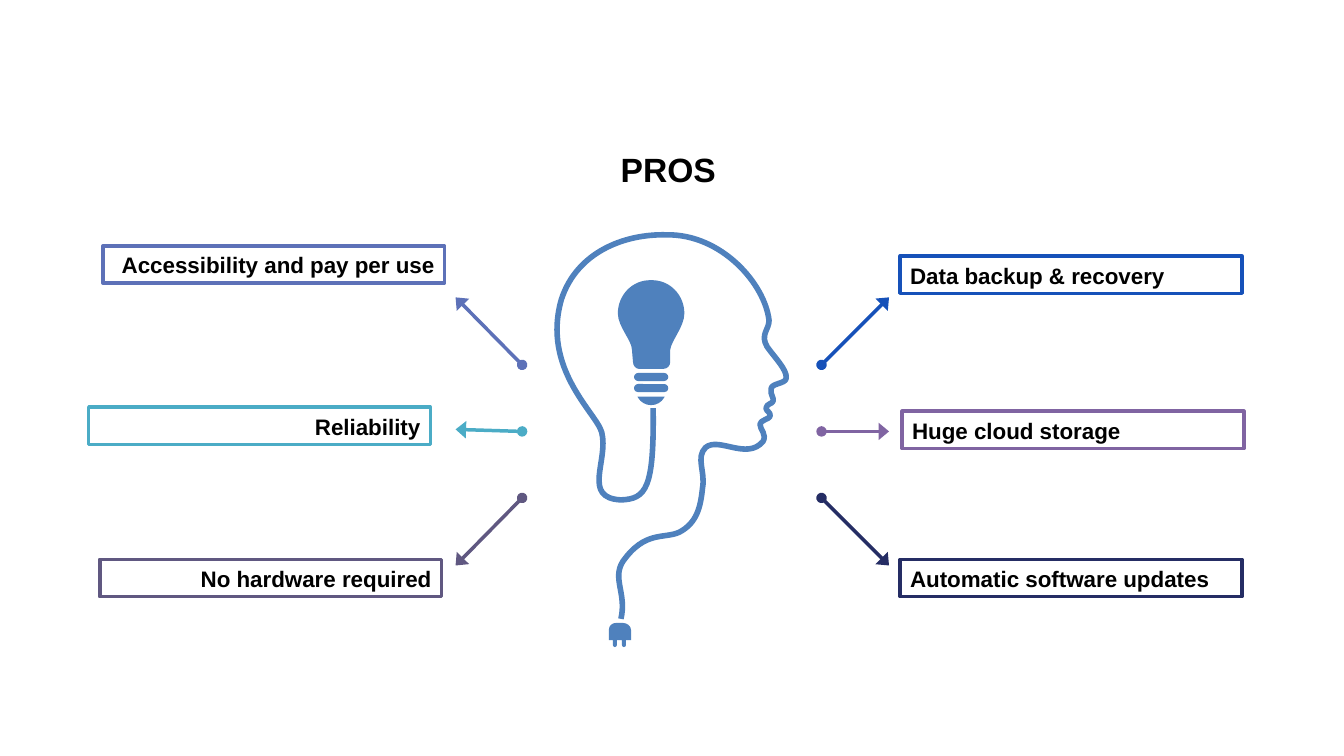
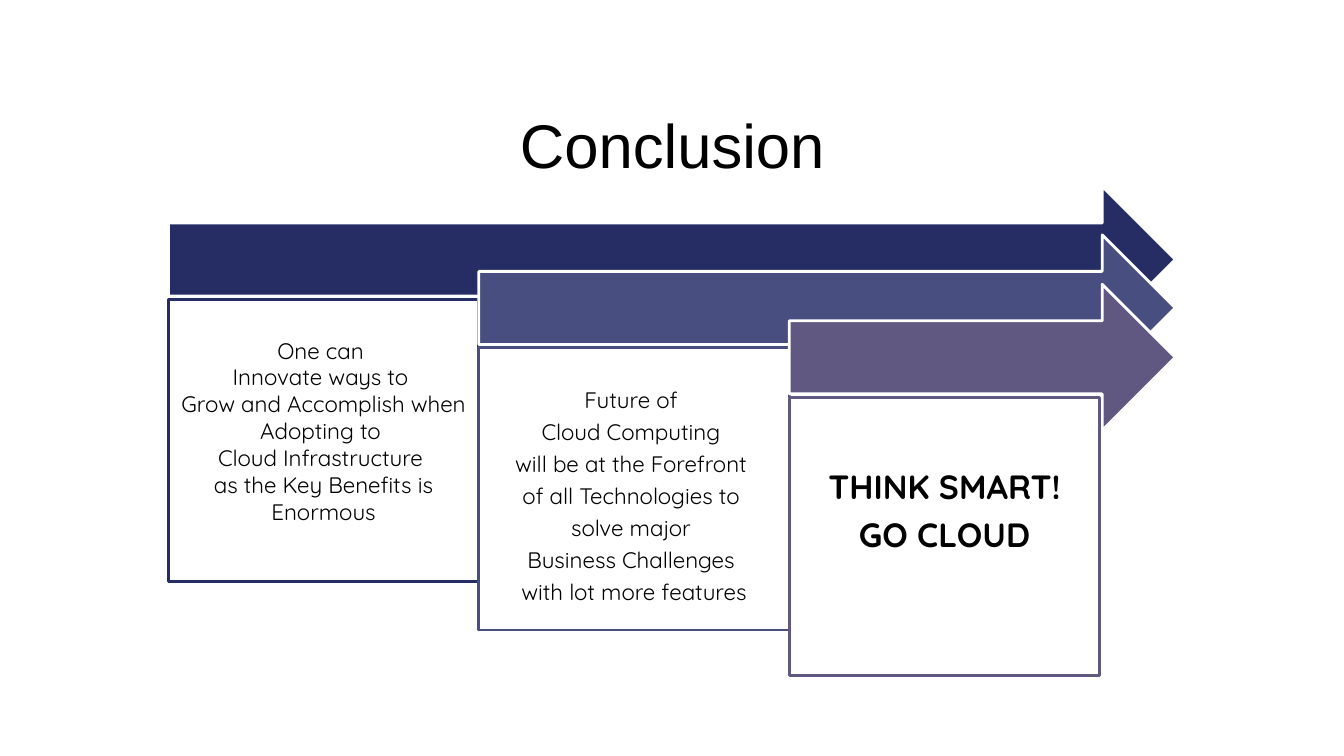
"""Build two slides: the pros of cloud computing and the conclusion."""
from dataclasses import dataclass

from lxml.etree import SubElement
from pptx import Presentation
from pptx.dml.color import RGBColor
from pptx.enum.shapes import MSO_CONNECTOR, MSO_SHAPE
from pptx.enum.text import MSO_ANCHOR, MSO_AUTO_SIZE, PP_ALIGN
from pptx.oxml.ns import qn
from pptx.util import Emu, Inches, Pt

COLUMNS, ROWS = 40 / 3, 7.5
CELL = Inches(1)
TITLE_ONLY = 5
HEADING_FONT, CARD_FONT = "Arial", "Quicksand"
BLACK, WHITE = "000000", "FFFFFF"
NAVY, INDIGO, PLUM = "252D64", "484E7F", "605881"
ICON_BLUE = "4F81BD"

LABEL_WIDTH, LABEL_HEIGHT = 3.39, 0.37
LEFT_ARROW, RIGHT_ARROW = (5.18, 4.52), (8.15, 8.82)

CARD_LEFT, CARD_WIDTH, CARD_DROP = 1.67, 3.08, 1.12
ARROW_RIGHT, ARROW_HEIGHT = 11.66, 1.45
CARD_INSET = 0.07


@dataclass(frozen=True)
class Box:
    left: float
    top: float
    width: float
    height: float


@dataclass(frozen=True)
class Outline:
    box: Box
    start: tuple[float, float]
    segments: tuple[tuple[float, ...], ...]
    closed: bool = True


@dataclass(frozen=True)
class TextStyle:
    size: float
    font: str = HEADING_FONT
    bold: bool = False
    align: PP_ALIGN = PP_ALIGN.CENTER
    spacing: float = 1.0
    after: float = 0


@dataclass(frozen=True)
class Pro:
    text: str
    color: str
    left: float
    top: float
    arrow_x: tuple[float, float]
    arrow_y: tuple[float, float]
    spacing: float = 1.07


@dataclass(frozen=True)
class Card:
    lines: tuple[str, ...]
    color: str
    top: float
    height: float
    text_top: float
    style: TextStyle


HEAD = Outline(Box(5.53, 2.33, 2.28, 3.8), (6.48, 4.05), (
    (6.49, 4.85, 6.41, 4.95, 6.16, 4.96),
    (5.77, 4.94, 6.04, 4.57, 5.97, 4.29),
    (5.92, 4.1, 5.37, 3.66, 5.57, 2.97),
    (5.72, 2.51, 6.18, 2.32, 6.61, 2.33),
    (7.16, 2.32, 7.59, 2.82, 7.63, 3.18),
    (7.63, 3.27, 7.54, 3.32, 7.61, 3.44),
    (7.68, 3.54, 7.81, 3.67, 7.8, 3.75),
    (7.8, 3.81, 7.65, 3.8, 7.65, 3.86),
    (7.64, 3.92, 7.68, 3.94, 7.67, 3.98),
    (7.66, 4.01, 7.61, 4, 7.6, 4.05),
    (7.6, 4.08, 7.65, 4.09, 7.64, 4.13),
    (7.63, 4.16, 7.54, 4.17, 7.54, 4.21),
    (7.54, 4.26, 7.61, 4.31, 7.57, 4.38),
    (7.41, 4.57, 7.13, 4.33, 7, 4.44),
    (6.9, 4.54, 7, 4.68, 6.97, 4.84),
    (6.95, 5.04, 6.91, 5.19, 6.74, 5.28),
    (6.59, 5.35, 6.4, 5.26, 6.18, 5.57),
    (6.07, 5.74, 6.22, 5.89, 6.16, 6.14),
), closed=False)
BULB = Outline(Box(6.13, 2.78, 0.67, 0.87), (6.45, 2.78), (
    (6.47, 2.78),
    (6.65, 2.78, 6.79, 2.93, 6.79, 3.11),
    (6.79, 3.24, 6.66, 3.38, 6.65, 3.47),
    (6.65, 3.59),
    (6.65, 3.63, 6.62, 3.66, 6.58, 3.66),
    (6.34, 3.66),
    (6.31, 3.66, 6.28, 3.63, 6.28, 3.59),
    (6.27, 3.47),
    (6.27, 3.38, 6.13, 3.24, 6.13, 3.11),
    (6.13, 2.93, 6.27, 2.78, 6.45, 2.78),
))
PLUG = Outline(Box(6.04, 6.18, 0.22, 0.25), (6.11, 6.18), (
    (6.18, 6.18),
    (6.22, 6.18, 6.26, 6.21, 6.26, 6.25),
    (6.26, 6.35), (6.21, 6.35), (6.21, 6.4),
    (6.21, 6.41, 6.2, 6.42, 6.19, 6.42),
    (6.18, 6.42, 6.17, 6.41, 6.17, 6.4),
    (6.17, 6.35), (6.12, 6.35), (6.12, 6.4),
    (6.12, 6.41, 6.11, 6.42, 6.1, 6.42),
    (6.09, 6.42, 6.08, 6.41, 6.08, 6.4),
    (6.08, 6.35), (6.04, 6.35), (6.04, 6.25),
    (6.04, 6.21, 6.07, 6.18, 6.11, 6.18),
))
PROS = [
    Pro("Data backup & recovery", "1651B9", 8.93, 2.54, RIGHT_ARROW, (3.62, 2.95)),
    Pro("Huge cloud storage", "8064A2", 8.95, 4.08, RIGHT_ARROW, (4.28, 4.28)),
    Pro("Automatic software updates", NAVY, 8.93, 5.55, RIGHT_ARROW, (4.94, 5.61), 1.0),
    Pro("Accessibility and pay per use", "5D71B8", 1.02, 2.44, LEFT_ARROW, (3.62, 2.95), 1.0),
    Pro("Reliability", "4BACC6", 0.88, 4.04, LEFT_ARROW, (4.28, 4.26)),
    Pro("No hardware required", PLUM, 0.99, 5.55, LEFT_ARROW, (4.94, 5.61)),
]
CARDS = [
    Card(("One can ", "Innovate ways to ", "Grow and Accomplish when Adopting to ",
          "Cloud Infrastructure ", "as the Key Benefits is Enormous"),
         NAVY, 1.85, 2.8, 0.37, TextStyle(16, CARD_FONT)),
    Card(("Future of ", "Cloud Computing ", "will be at the Forefront ",
          "of all Technologies to ", "solve major ", "Business Challenges ",
          "with lot more features"),
         INDIGO, 2.33, 2.8, 0.41, TextStyle(16, CARD_FONT, spacing=0.9, after=5.6)),
    Card(("THINK SMART!", "GO CLOUD"),
         PLUM, 2.82, 2.76, 0.73, TextStyle(24, CARD_FONT, True, spacing=0.9, after=8.4)),
]


def rgb(color: str) -> RGBColor:
    """Return the colour for a hex string."""
    return RGBColor.from_string(color)


def cells(count: float) -> Emu:
    """Return the length of a number of grid cells."""
    return Emu(round(count * CELL))


def frame(box: Box) -> tuple[Emu, Emu, Emu, Emu]:
    """Return the slide position and size of a box."""
    return cells(box.left), cells(box.top), cells(box.width), cells(box.height)


def paint(sp, fill: str | None = None, line: str | None = None, width: float = 0) -> None:
    """Set the fill and outline of a shape and drop its shadow."""
    sp.shadow.inherit = False
    if fill:
        sp.fill.solid()
        sp.fill.fore_color.rgb = rgb(fill)
    else:
        sp.fill.background()
    if line:
        sp.line.color.rgb = rgb(line)
        sp.line.width = Pt(width)
    else:
        sp.line.fill.background()


def add_box(shapes, kind: MSO_SHAPE, box: Box, fill: str | None = None,
            line: str | None = None, width: float = 0):
    """Add a painted preset shape."""
    sp = shapes.add_shape(kind, *frame(box))
    paint(sp, fill, line, width)
    return sp


def write(sp, lines: tuple[str, ...], style: TextStyle, anchor=MSO_ANCHOR.MIDDLE):
    """Write formatted paragraphs into a shape."""
    tf = sp.text_frame
    tf.text = "\n".join(lines)
    tf.word_wrap = True
    tf.auto_size = MSO_AUTO_SIZE.NONE
    tf.vertical_anchor = anchor
    for p in tf.paragraphs:
        p.alignment = style.align
        p.line_spacing = style.spacing
        p.space_before, p.space_after = Pt(0), Pt(style.after)
        for r in p.runs:
            r.font.name = style.font
            r.font.size = Pt(style.size)
            r.font.bold = style.bold
            r.font.color.rgb = rgb(BLACK)
    return tf


def add_titled_slide(prs, text: str, box: Box, style: TextStyle):
    """Add a title-only slide with its title placed and formatted."""
    s = prs.slides.add_slide(prs.slide_layouts[TITLE_ONLY])
    title = s.shapes.title
    title.left, title.top, title.width, title.height = frame(box)
    write(title, (text,), style)
    return s


def add_pro(shapes, pro: Pro) -> None:
    """Add one label with the arrow that points to it."""
    (x1, x2), (y1, y2) = pro.arrow_x, pro.arrow_y
    cxn = shapes.add_connector(MSO_CONNECTOR.STRAIGHT, cells(x1), cells(y1), cells(x2), cells(y2))
    cxn.line.color.rgb = rgb(pro.color)
    cxn.line.width = Pt(2.5)
    props = cxn.element.spPr
    ln = props.find(qn("a:ln"))
    SubElement(ln, qn("a:headEnd"), type="oval")
    SubElement(ln, qn("a:tailEnd"), type="triangle", w="lg", len="med")
    SubElement(props, qn("a:effectLst"))

    box = Box(pro.left, pro.top, LABEL_WIDTH, LABEL_HEIGHT)
    sp = add_box(shapes, MSO_SHAPE.RECTANGLE, box, line=pro.color, width=2.5)
    align = PP_ALIGN.LEFT if pro.arrow_x == RIGHT_ARROW else PP_ALIGN.RIGHT
    write(sp, (pro.text,), TextStyle(16, bold=True, align=align, spacing=pro.spacing))


def add_outline(shapes, outline: Outline):
    """Add a freeform whose six-number segments are cubic curves."""
    builder = shapes.build_freeform(*map(cells, outline.start))
    ends = [tuple(map(cells, segment[-2:])) for segment in outline.segments]
    builder.add_line_segments(ends, close=outline.closed)
    sp = builder.convert_to_shape()
    box = outline.box
    sp.left, sp.top, sp.width, sp.height = frame(box)
    geometry = next(sp.element.iter(qn("a:path")))
    geometry.set("w", str(sp.width))
    geometry.set("h", str(sp.height))
    for step, points in zip(geometry, (outline.start, *outline.segments)):
        if len(points) == 6:
            step.tag = qn("a:cubicBezTo")
        for old in list(step):
            step.remove(old)
        for x, y in zip(points[::2], points[1::2]):
            SubElement(step, qn("a:pt"), x=str(cells(x - box.left)), y=str(cells(y - box.top)))
    return sp


def add_idea_icon(shapes) -> None:
    """Add the head with a light bulb and a plug."""
    icon = shapes.add_group_shape().shapes
    paint(add_outline(icon, HEAD), line=ICON_BLUE, width=4)
    paint(add_outline(icon, BULB), ICON_BLUE)
    for top in (3.7, 3.81):
        ring = add_box(icon, MSO_SHAPE.ROUNDED_RECTANGLE, Box(6.29, top, 0.34, 0.08), ICON_BLUE)
        ring.adjustments[0] = 0.5
    base = add_box(icon, MSO_SHAPE.CHORD, Box(6.31, 3.72, 0.3, 0.3), ICON_BLUE)
    base.adjustments[0], base.adjustments[1] = 15.77, 92.52
    paint(add_outline(icon, PLUG), ICON_BLUE)


def add_card(shapes, index: int, card: Card) -> None:
    """Add one step of the cascade: an arrow and the card below it."""
    left = CARD_LEFT + index * CARD_WIDTH
    arrow = Box(left, card.top, ARROW_RIGHT - left, ARROW_HEIGHT)
    add_box(shapes, MSO_SHAPE.RIGHT_ARROW, arrow, card.color, WHITE, 2)
    box = Box(left, card.top + CARD_DROP, CARD_WIDTH, card.height)
    sp = add_box(shapes, MSO_SHAPE.RECTANGLE, box, WHITE, card.color, 2)
    tf = write(sp, card.lines, card.style, MSO_ANCHOR.TOP)
    tf.margin_left = tf.margin_right = tf.margin_bottom = cells(CARD_INSET)
    tf.margin_top = cells(card.text_top)


def main() -> None:
    """Build and save the presentation."""
    prs = Presentation()
    prs.slide_width, prs.slide_height = cells(COLUMNS), cells(ROWS)

    s = add_titled_slide(prs, "PROS", Box(3.77, 1.44, 5.72, 0.44),
                         TextStyle(24, bold=True, spacing=1.1))
    for pro in PROS:
        add_pro(s.shapes, pro)
    add_idea_icon(s.shapes)

    s = add_titled_slide(prs, "Conclusion", Box(0.92, 1.1, 11.5, 0.74),
                         TextStyle(44, spacing=0.9))
    for index, card in enumerate(CARDS):
        add_card(s.shapes, index, card)
    prs.save("out.pptx")


if __name__ == "__main__":
    main()
